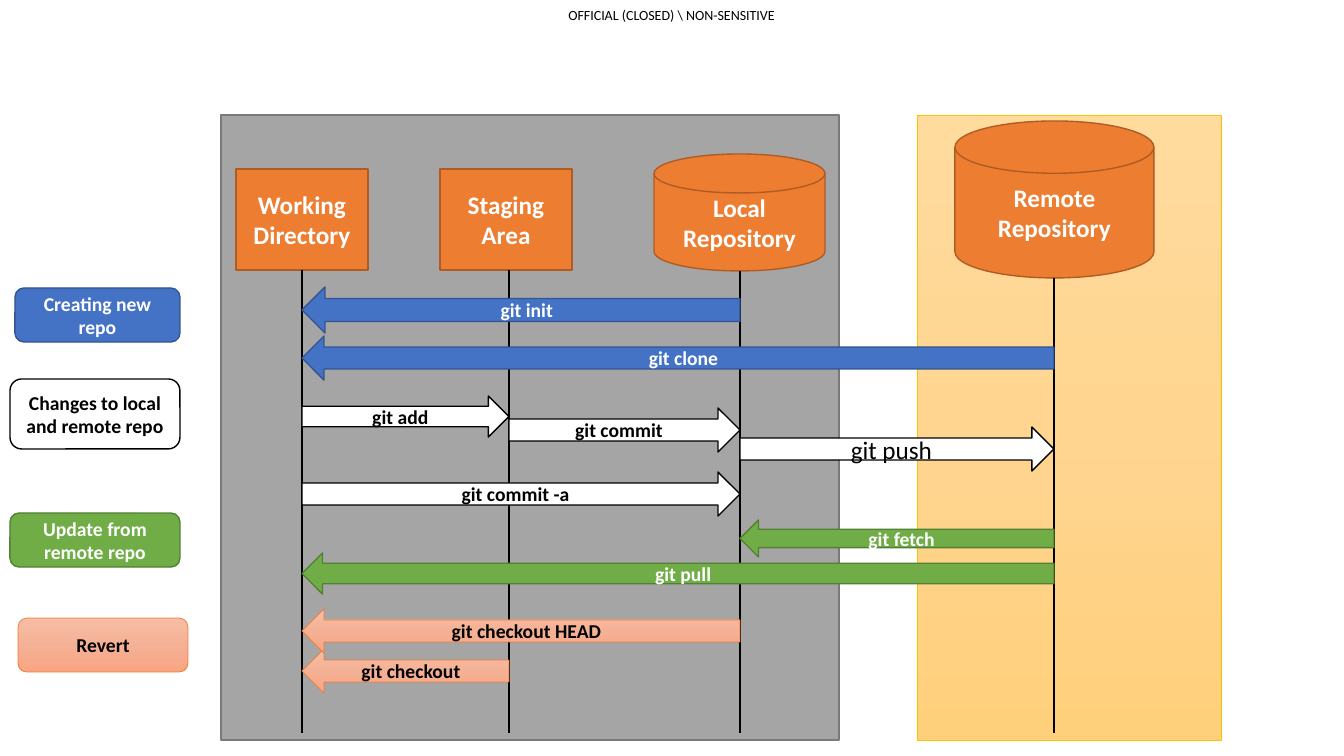
import copy
from dataclasses import dataclass

import pptx
import pptx.dml.color
import pptx.enum.shapes
import pptx.enum.text
import pptx.oxml
import pptx.oxml.ns
import pptx.util

PX = 914400 / 100.8
RGB = pptx.dml.color.RGBColor
SHAPE = pptx.enum.shapes.MSO_SHAPE
BLACK = RGB(0x00, 0x00, 0x00)
WHITE = RGB(0xFF, 0xFF, 0xFF)
ORANGE = RGB(0xED, 0x7D, 0x31)
DARK_ORANGE = RGB(0xAF, 0x5C, 0x24)
GREY = RGB(0xA5, 0xA5, 0xA5)
DARK_GREY = RGB(0x7A, 0x7A, 0x7A)
BLUE = RGB(0x44, 0x72, 0xC4)
DARK_BLUE = RGB(0x32, 0x54, 0x91)
GREEN = RGB(0x70, 0xAD, 0x47)
DARK_GREEN = RGB(0x53, 0x80, 0x35)
GOLD = RGB(0xFF, 0xC0, 0x00)
GOLD_FADE = [RGB(0xFF, 0xDB, 0x9E), RGB(0xFF, 0xD5, 0x90), RGB(0xFF, 0xD0, 0x7C)]
PEACH_FADE = [RGB(0xF7, 0xBD, 0xA5), RGB(0xF5, 0xB1, 0x96), RGB(0xF8, 0xA5, 0x82)]


@dataclass
class Style:
    fill: object
    line: object
    text: object = BLACK
    weight: float = 1


LOCAL_PANEL = Style(GREY, DARK_GREY)
REMOTE_PANEL = Style(GOLD_FADE, GOLD, weight=0.5)
STORE = Style(ORANGE, DARK_ORANGE, WHITE)
CREATE = Style(BLUE, DARK_BLUE, WHITE)
CHANGE = Style(WHITE, BLACK)
UPDATE = Style(GREEN, DARK_GREEN, WHITE)
REVERT = Style(PEACH_FADE, ORANGE, weight=0.5)

LANES = {"working": 302, "staging": 509, "local": 740, "remote": 1054}
LIFELINE_END = 733


def emu(*lengths):
    return [pptx.util.Emu(round(length * PX)) for length in lengths]


def fade(shape, colors):
    """Fill the shape with evenly spaced colours from top to bottom."""
    shape.fill.gradient()
    shape.fill.gradient_angle = 270
    stop_list = shape._element.spPr.find(".//" + pptx.oxml.ns.qn("a:gsLst"))
    stop_list.insert(1, copy.deepcopy(stop_list[0]))
    for index, (stop, color) in enumerate(zip(shape.fill.gradient_stops, colors)):
        stop.position = index / (len(colors) - 1)
        stop.color.rgb = color


def write(shape, words, size, color, bold):
    frame = shape.text_frame
    frame.word_wrap = True
    frame.vertical_anchor = pptx.enum.text.MSO_ANCHOR.MIDDLE
    paragraph = frame.paragraphs[0]
    paragraph.text = words
    paragraph.alignment = pptx.enum.text.PP_ALIGN.CENTER
    paragraph.font.name = "Calibri"
    paragraph.font.size = pptx.util.Pt(size)
    paragraph.font.bold = bold
    paragraph.font.color.rgb = color


def add_block(slide, kind, box, style, words="", size=14, bold=True):
    block = slide.shapes.add_shape(kind, *emu(*box))
    block.shadow.inherit = False
    if isinstance(style.fill, RGB):
        block.fill.solid()
        block.fill.fore_color.rgb = style.fill
    else:
        fade(block, style.fill)
    block.line.color.rgb = style.line
    block.line.width = pptx.util.Pt(style.weight)
    if words:
        write(block, words, size, style.text, bold)


def add_header(slide, box):
    header = slide.shapes.add_textbox(*emu(*box))
    frame = header.text_frame
    frame.margin_left = frame.margin_right = frame.margin_top = frame.margin_bottom = 0
    write(header, "OFFICIAL (CLOSED) \\ NON-SENSITIVE", 10, BLACK, False)


def add_lifeline(slide, x, top):
    lifeline = slide.shapes.add_connector(
        pptx.enum.shapes.MSO_CONNECTOR.STRAIGHT, *emu(x, top, x, LIFELINE_END))
    lifeline.line.color.rgb = BLACK
    lifeline.line.width = pptx.util.Pt(2)
    lifeline._element.spPr.append(pptx.oxml.parse_xml(
        "<a:effectLst %s/>" % pptx.oxml.ns.nsdecls("a")))


def add_stores(slide):
    disk = SHAPE.FLOWCHART_MAGNETIC_DISK
    stores = [
        ("remote", disk, "Remote Repository", (955, 121, 199, 157)),
        ("local", disk, "Local Repository", (654, 154, 171, 117)),
        ("working", SHAPE.RECTANGLE, "Working Directory", (236, 169, 132, 101)),
        ("staging", SHAPE.RECTANGLE, "Staging Area", (440, 169, 132, 101)),
    ]
    for lane, kind, words, box in stores:
        add_block(slide, kind, box, STORE, words, 18)
    for lane, kind, words, (left, top, width, height) in stores:
        add_lifeline(slide, LANES[lane], top + height)


def add_command(slide, words, source, target, top, height, style, size=14, bold=True):
    """Draw a block arrow from the source lane to the target lane."""
    start, end = LANES[source], LANES[target]
    kind = SHAPE.RIGHT_ARROW if start < end else SHAPE.LEFT_ARROW
    box = (min(start, end), top, abs(end - start), height)
    add_block(slide, kind, box, style, words, size, bold)


def add_commands(slide):
    add_command(slide, "git add", "working", "staging", 396, 41, CHANGE)
    add_command(slide, "git commit", "staging", "local", 408, 44, CHANGE)
    add_command(slide, "git push", "local", "remote", 427, 44, CHANGE, 18, False)
    add_command(slide, "git init", "local", "working", 287, 46, CREATE)
    add_command(slide, "git clone", "remote", "working", 336, 44, CREATE)
    add_command(slide, "git commit -a", "working", "local", 472, 44, CHANGE)
    add_command(slide, "git pull", "remote", "working", 553, 41, UPDATE)
    add_command(slide, "git checkout", "staging", "working", 649, 44, REVERT)
    add_command(slide, "git checkout HEAD", "local", "working", 609, 44, REVERT)
    add_command(slide, "git fetch", "remote", "local", 520, 37, UPDATE)


def add_legend(slide):
    for words, box, style in [
        ("Creating new repo", (15, 288, 165, 54), CREATE),
        ("Changes to local and remote repo", (10, 379, 170, 70), CHANGE),
        ("Update from remote repo", (10, 513, 170, 54), UPDATE),
        ("Revert", (18, 618, 170, 54), REVERT),
    ]:
        add_block(slide, SHAPE.ROUNDED_RECTANGLE, box, style, words)


def main():
    deck = pptx.Presentation()
    deck.slide_width, deck.slide_height = emu(1344, 756)
    slide = deck.slides.add_slide(deck.slide_layouts.get_by_name("Blank"))
    add_header(slide, (550, 0, 243, 29))
    add_block(slide, SHAPE.RECTANGLE, (917, 115, 304, 625), REMOTE_PANEL)
    add_block(slide, SHAPE.RECTANGLE, (221, 115, 618, 625), LOCAL_PANEL)
    add_stores(slide)
    add_commands(slide)
    add_legend(slide)
    deck.save("out.pptx")


if __name__ == "__main__":
    main()
